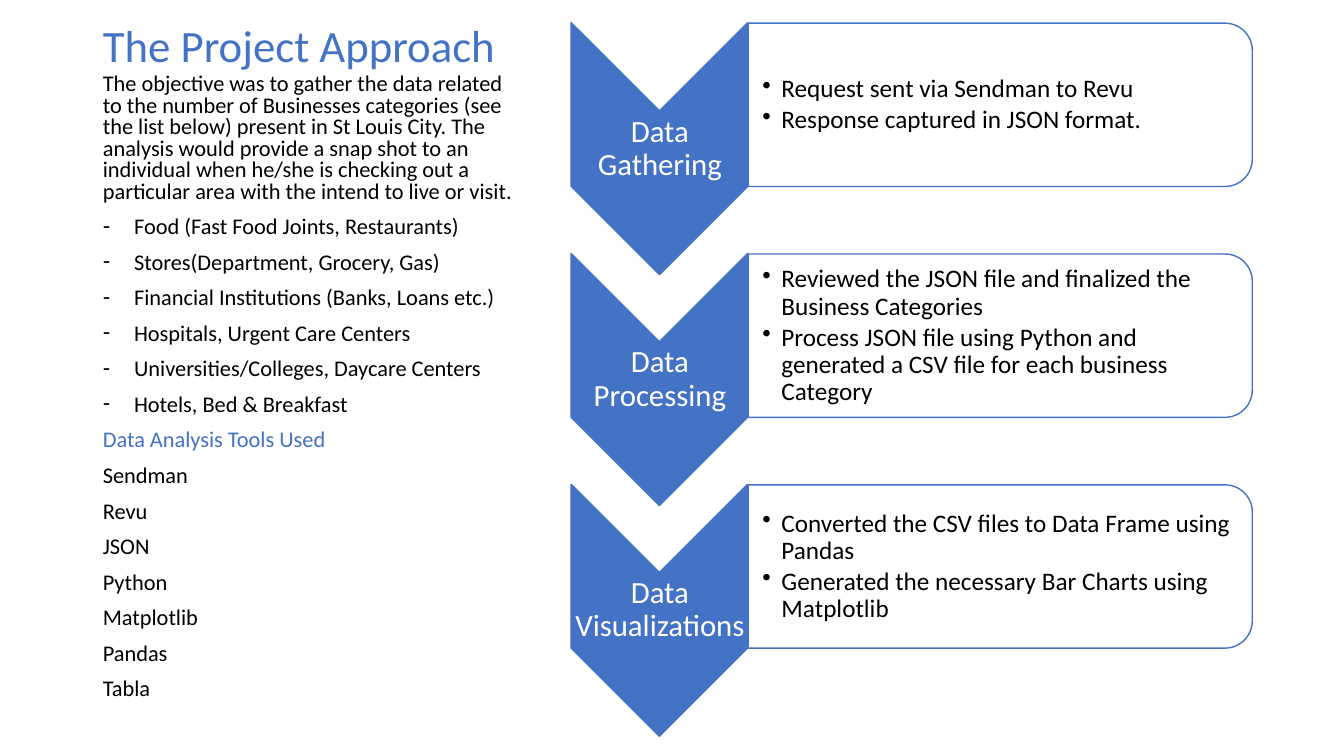
"""Build the project approach slide: an outline beside three chevron steps."""
from typing import NamedTuple

from lxml import etree
from pptx import Presentation
from pptx import util as u
from pptx.dml.color import RGBColor
from pptx.enum import shapes, text
from pptx.oxml.ns import qn

BLUE, BLACK, WHITE = "4472C4", "000000", "FFFFFF"
FONT = "Calibri"
PITCH = 2.29


class Box(NamedTuple):
    left: float
    top: float
    width: float
    height: float


class Style(NamedTuple):
    size: float
    color: str = BLACK
    line: float = 0.9
    before: float = 0
    after: float = 0
    indent: float = 0
    bullet: str = ""
    align: text.PP_ALIGN = text.PP_ALIGN.LEFT


class Step(NamedTuple):
    name: str
    notes: list[str]


TITLE = Style(32, BLUE)
PLAIN = Style(16, line=0.8, before=10)
DASH = PLAIN._replace(indent=0.31, bullet="-")
HEAD = PLAIN._replace(color=BLUE)
LABEL = Style(22, WHITE, after=7.7, align=text.PP_ALIGN.CENTER)
NOTE = Style(18, after=2.7, indent=0.19, bullet="•")

INTRO = (
    "The objective was to gather the data related to the number of Businesses "
    "categories (see the list below) present in St Louis City. The analysis would "
    "provide a snap shot to an individual when he/she is checking out a particular "
    "area with the intend to live or visit."
)
GROUPS = [
    "Food (Fast Food Joints, Restaurants)",
    "Stores(Department, Grocery, Gas)",
    "Financial Institutions (Banks, Loans etc.)",
    "Hospitals, Urgent Care Centers",
    "Universities/Colleges, Daycare Centers",
    "Hotels, Bed & Breakfast",
]
TOOLS = ["Sendman", "Revu", "JSON", "Python", "Matplotlib", "Pandas", "Tabla"]
STEPS = [
    Step("Data Gathering", [
        "Request sent via Sendman to Revu",
        "Response captured in JSON format.",
    ]),
    Step("Data Processing", [
        "Reviewed the JSON file and finalized the Business Categories",
        "Process JSON file using Python and generated a CSV file for each business Category",
    ]),
    Step("Data Visualizations", [
        "Converted the CSV files to Data Frame using Pandas",
        "Generated the necessary Bar Charts using Matplotlib",
    ]),
]


def paint(target, color: str) -> None:
    """Give a fill or font colour holder a solid hex colour."""
    target.rgb = RGBColor.from_string(color)


def place(shape, box: Box) -> None:
    """Move and size a shape."""
    shape.left, shape.top, shape.width, shape.height = map(u.Inches, box)


def write(frame, lines: list[tuple[str, Style]], anchor: text.MSO_ANCHOR) -> None:
    """Fill a text frame with styled paragraphs."""
    frame.word_wrap = True
    frame.auto_size = text.MSO_AUTO_SIZE.NONE
    frame.vertical_anchor = anchor
    frame.text = "\n".join(line for line, _ in lines)
    for para, (_, style) in zip(frame.paragraphs, lines):
        para.alignment = style.align
        para.line_spacing = style.line
        para.space_before = u.Pt(style.before)
        para.space_after = u.Pt(style.after)
        for run in para.runs:
            run.font.name = FONT
            run.font.size = u.Pt(style.size)
            paint(run.font.color, style.color)
        props = para._p.get_or_add_pPr()
        props.set("marL", str(u.Inches(style.indent)))
        props.set("indent", str(-u.Inches(style.indent)))
        if style.bullet:
            etree.SubElement(props, qn("a:buChar")).set("char", style.bullet)
        else:
            etree.SubElement(props, qn("a:buNone"))


def turn(group, kind: shapes.MSO_SHAPE, box: Box, color: str):
    """Draw a blue-edged shape turned a quarter clockwise."""
    shape = group.shapes.add_shape(kind, *map(u.Inches, box))
    shape.rotation = 90
    shape.shadow.inherit = False
    shape.fill.solid()
    paint(shape.fill.fore_color, color)
    paint(shape.line.color, BLUE)
    shape.line.width = u.Pt(1)
    return shape


def label(group, box: Box, lines: list[tuple[str, Style]], left: float, inset: float) -> None:
    """Draw a vertically centred text box."""
    frame = group.shapes.add_textbox(*map(u.Inches, box)).text_frame
    frame.margin_left = u.Inches(left)
    frame.margin_top = frame.margin_right = frame.margin_bottom = u.Inches(inset)
    write(frame, lines, text.MSO_ANCHOR.MIDDLE)


def draw(group, step: Step, drop: float) -> None:
    """Draw one step: chevron with name, card with notes."""
    turn(group, shapes.MSO_SHAPE.CHEVRON, Box(5.29, 0.6 + drop, 2.5, 1.75), BLUE)
    label(group, Box(5.67, 1.1 + drop, 1.75, 0.75), [(step.name, LABEL)], 0.02, 0.02)
    card = turn(group, shapes.MSO_SHAPE.ROUND_2_SAME_RECTANGLE,
                Box(9.11, -1.46 + drop, 1.62, 5), WHITE)
    tint = card.fill._xPr.find(qn("a:solidFill"))[0]
    etree.SubElement(tint, qn("a:alpha")).set("val", "90000")
    notes = [(note, NOTE) for note in step.notes]
    label(group, Box(7.42, 0.31 + drop, 4.92, 1.47), notes, 0.14, 0.01)


def main() -> None:
    """Build and save the slide."""
    deck = Presentation()
    deck.slide_width, deck.slide_height = u.Inches(13.33), u.Inches(7.5)
    slide = deck.slides.add_slide(deck.slide_layouts[1])
    title, body = slide.placeholders
    place(title, Box(0.92, 0.05, 4.3, 0.72))
    write(title.text_frame, [("The Project Approach", TITLE)], text.MSO_ANCHOR.BOTTOM)
    place(body, Box(0.92, 0.69, 4.3, 6.81))
    lines = [(INTRO, PLAIN)]
    lines += [(item, DASH) for item in GROUPS]
    lines += [("Data Analysis Tools Used", HEAD)]
    lines += [(tool, PLAIN) for tool in TOOLS]
    write(body.text_frame, lines, text.MSO_ANCHOR.TOP)
    group = slide.shapes.add_group_shape()
    for row, step in enumerate(STEPS):
        draw(group, step, row * PITCH)
    deck.save("out.pptx")


if __name__ == "__main__":
    main()
